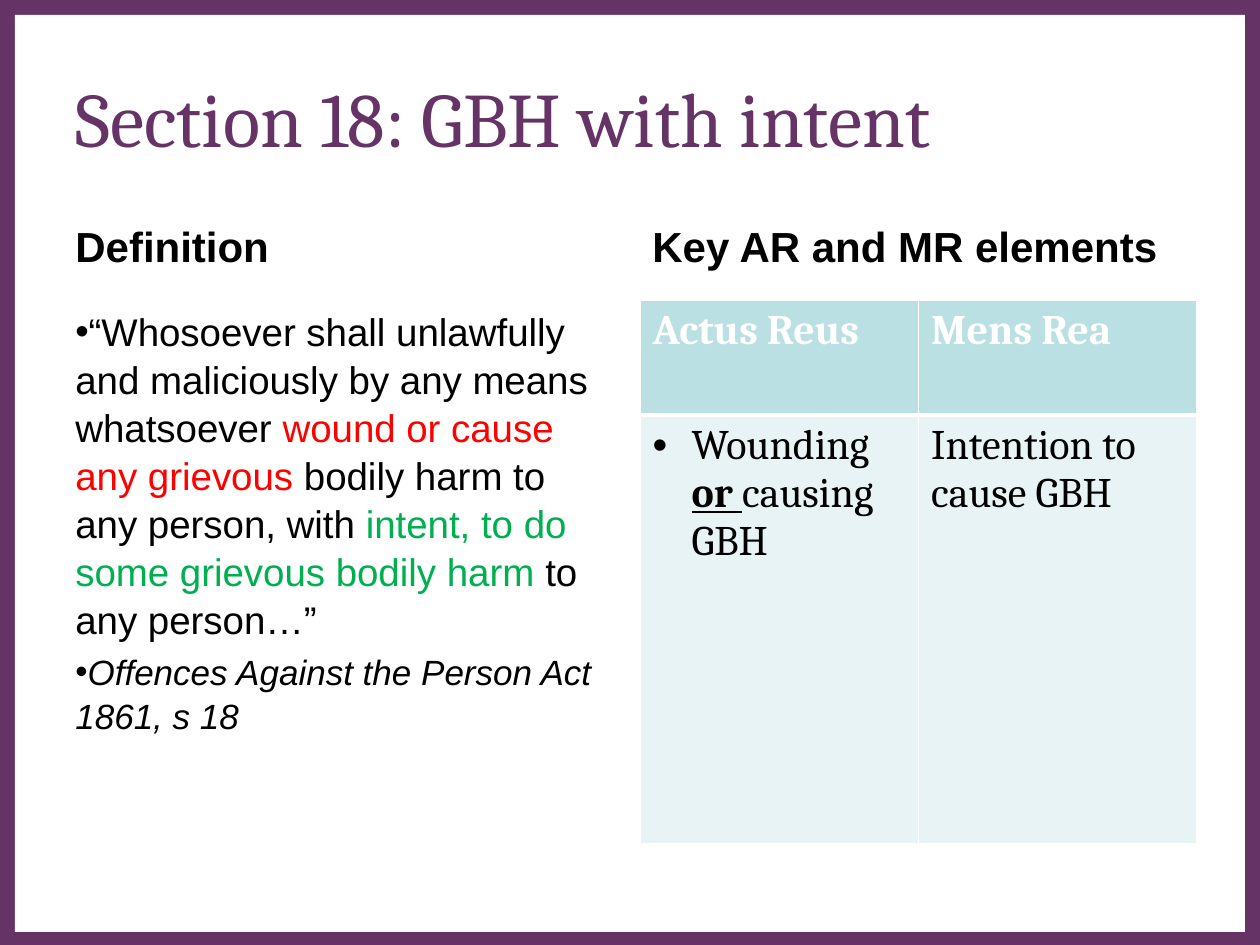
from pptx import Presentation
from pptx.dml.color import RGBColor as RGB
from pptx.enum.shapes import MSO_SHAPE as SHAPE
from pptx.enum.text import MSO_ANCHOR as ANCHOR, PP_ALIGN as ALIGN
from pptx.oxml.ns import qn
from pptx.util import Emu, Pt
from lxml.etree import SubElement as Sub

SCALE = 914400 / 126
HEX = {
    "plum": "663366", "white": "FFFFFF", "black": "000000", "red": "FF0000",
    "green": "00B050", "teal": "BBE0E3", "pale": "E7F3F4",
}


def px(*nums):
    """Turn pixels into EMU lengths."""
    return [Emu(round(n * SCALE)) for n in nums]


def paint(fill, name):
    """Give a fill one solid colour."""
    fill.solid()
    fill.fore_color.rgb = RGB.from_string(HEX[name])


def write(para, text, size=24, font="Cambria", color="black", **style):
    """Add a run of text with its format."""
    run = para.add_run()
    run.text = text
    run.font.size, run.font.name = Pt(size), font
    run.font.color.rgb = RGB.from_string(HEX[color])
    for key, value in style.items():
        setattr(run.font, key, value)


def bullet(para, indent=0):
    """Put a bullet and a hanging indent on a paragraph."""
    props = para._p.get_or_add_pPr()
    left, = px(indent)
    props.set("marL", str(left))
    props.set("indent", str(-left))
    Sub(props, qn("a:buFont"), typeface="Arial")
    Sub(props, qn("a:buChar"), char="•")


def panel(slide, box, color):
    """Add a plain filled rectangle."""
    shape = slide.shapes.add_shape(SHAPE.RECTANGLE, *px(*box))
    shape.shadow.inherit = False
    paint(shape.fill, color)
    shape.line.fill.background()


def title(slide, text):
    """Place the title in front of the frame."""
    shape = slide.shapes.title
    slide.shapes._spTree.append(shape._element)
    shape.left, shape.top, shape.width, shape.height = px(63, 38, 1134, 157)
    shape.text_frame.vertical_anchor = ANCHOR.MIDDLE
    para = shape.text_frame.paragraphs[0]
    para.alignment = ALIGN.LEFT
    write(para, text, size=44, color="plum")


def block(slide, box, paras, marks=False):
    """Add a text box of paragraphs, each a list of text and format pairs."""
    frame = slide.shapes.add_textbox(*px(*box)).text_frame
    frame.word_wrap = True
    for i, runs in enumerate(paras):
        para = frame.add_paragraph() if i else frame.paragraphs[0]
        para.line_spacing = 1.04
        para.space_before = Pt(4)
        if marks:
            bullet(para)
        for text, style in runs:
            write(para, text, font="Arial", **style)


def border(cell, **widths):
    """Draw white cell borders with widths in points."""
    props = cell._tc.get_or_add_tcPr()
    for i, side in enumerate("LRTB"):
        line = Sub(props, qn(f"a:ln{side}"), w=str(Pt(widths.get(side, 1))))
        Sub(Sub(line, qn("a:solidFill")), qn("a:srgbClr"), val=HEX["white"])


def grid(slide, box, rows, heights):
    """Add the table of elements under a header row."""
    table = slide.shapes.add_table(len(rows), len(rows[0]), *px(*box)).table
    for row, high in zip(table.rows, px(*heights)):
        row.height = high
    for r, row in enumerate(rows):
        for c, runs in enumerate(row):
            cell = table.cell(r, c)
            border(cell, **({"T": 3} if r else {"B": 3}))
            paint(cell.fill, "pale" if r else "teal")
            para = cell.text_frame.paragraphs[0]
            if len(runs) > 1:
                bullet(para, 39)
            for text, style in runs:
                write(para, text, **style)


def main():
    """Build and save the slide."""
    deck = Presentation()
    deck.slide_width, deck.slide_height = px(1260, 945)
    slide = deck.slides.add_slide(deck.slide_layouts[5])
    panel(slide, (0, 0, 1260, 948), "plum")
    panel(slide, (15, 15, 1230, 917), "white")
    title(slide, "Section 18: GBH with intent")

    left, right, wide = 63, 640, 557
    for x, text in (left, "Definition"), (right, "Key AR and MR elements"):
        block(slide, (x, 212, wide, 88), [[(text, {"bold": True})]])

    body = {"size": 22}
    quote = [
        ("“Whosoever shall unlawfully and maliciously by any means whatsoever ", body),
        ("wound or cause any grievous ", body | {"color": "red"}),
        ("bodily harm to any person, with ", body),
        ("intent, to do some grievous bodily harm ", body | {"color": "green"}),
        ("to any person…”", body),
    ]
    act = [("Offences Against the Person Act 1861, s 18", {"size": 20, "italic": True})]
    block(slide, (left, 300, wide, 544), [quote, act], marks=True)

    head = {"color": "white", "bold": True}
    plain = {"bold": False}
    rows = [
        [[("Actus Reus", head)], [("Mens Rea", head)]],
        [
            [("Wounding ", plain), ("or ", {"bold": True, "underline": True}),
             ("causing GBH", plain)],
            [("Intention to cause GBH", plain)],
        ],
    ]
    grid(slide, (right, 300, wide, 544), rows, (115, 429))
    deck.save("out.pptx")


if __name__ == "__main__":
    main()
